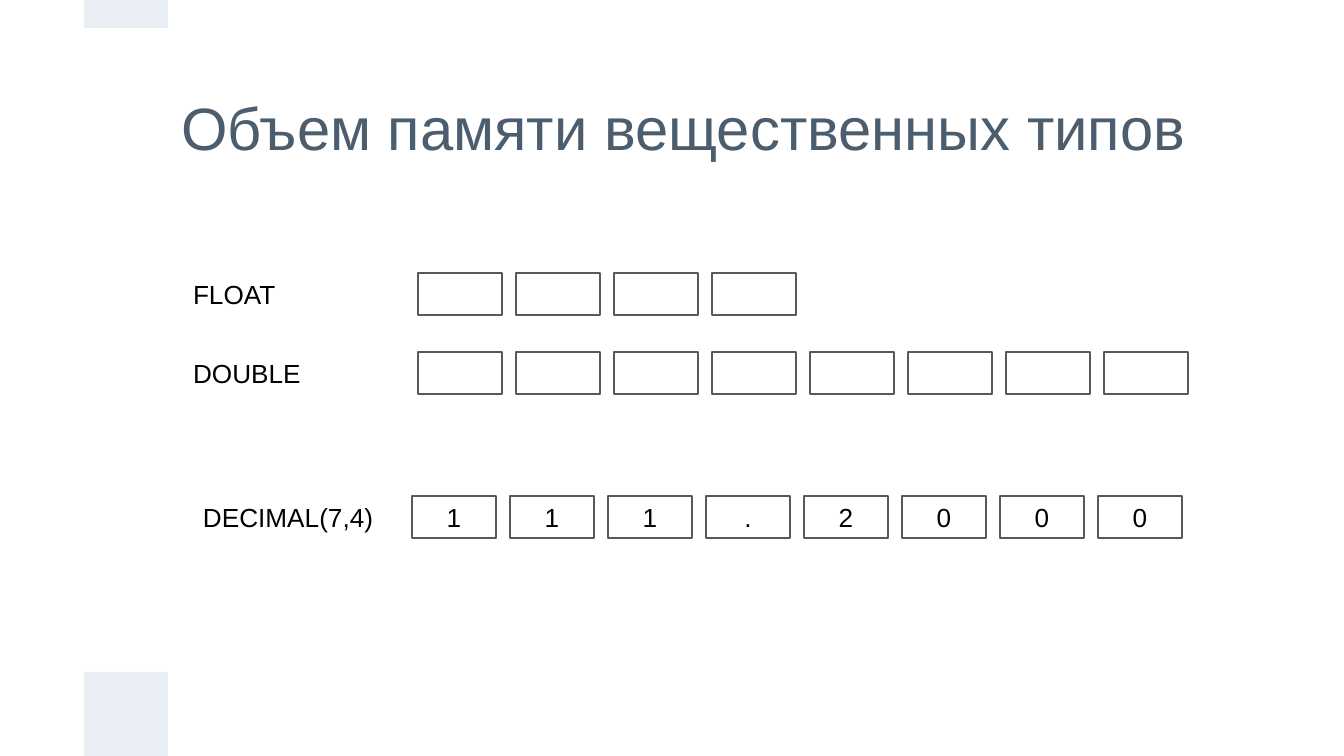
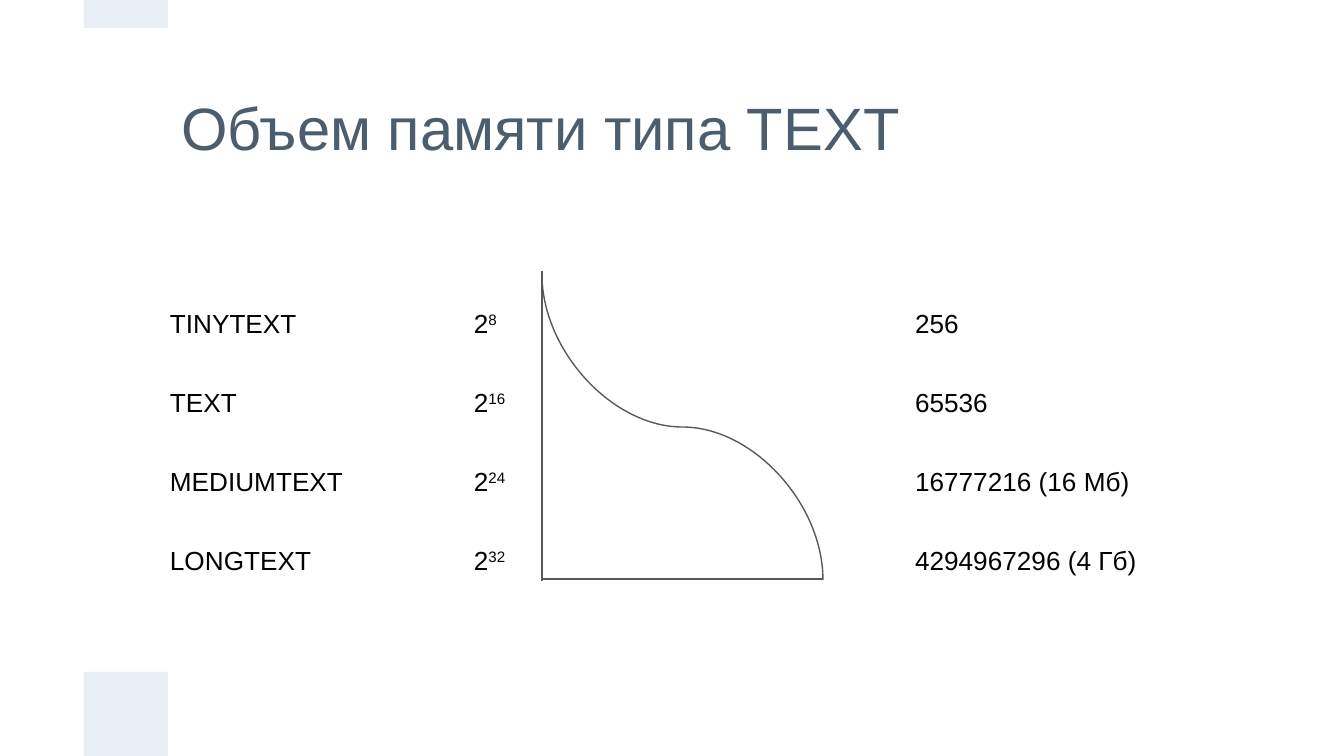
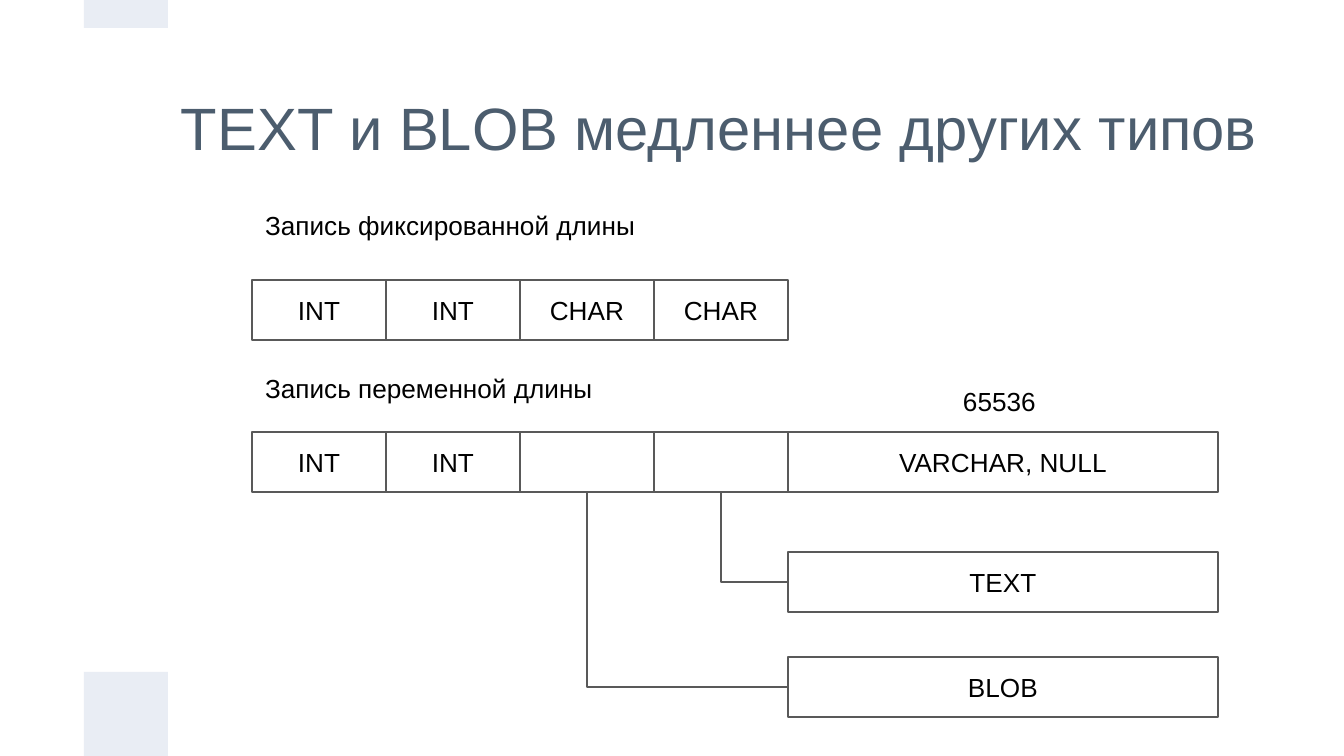
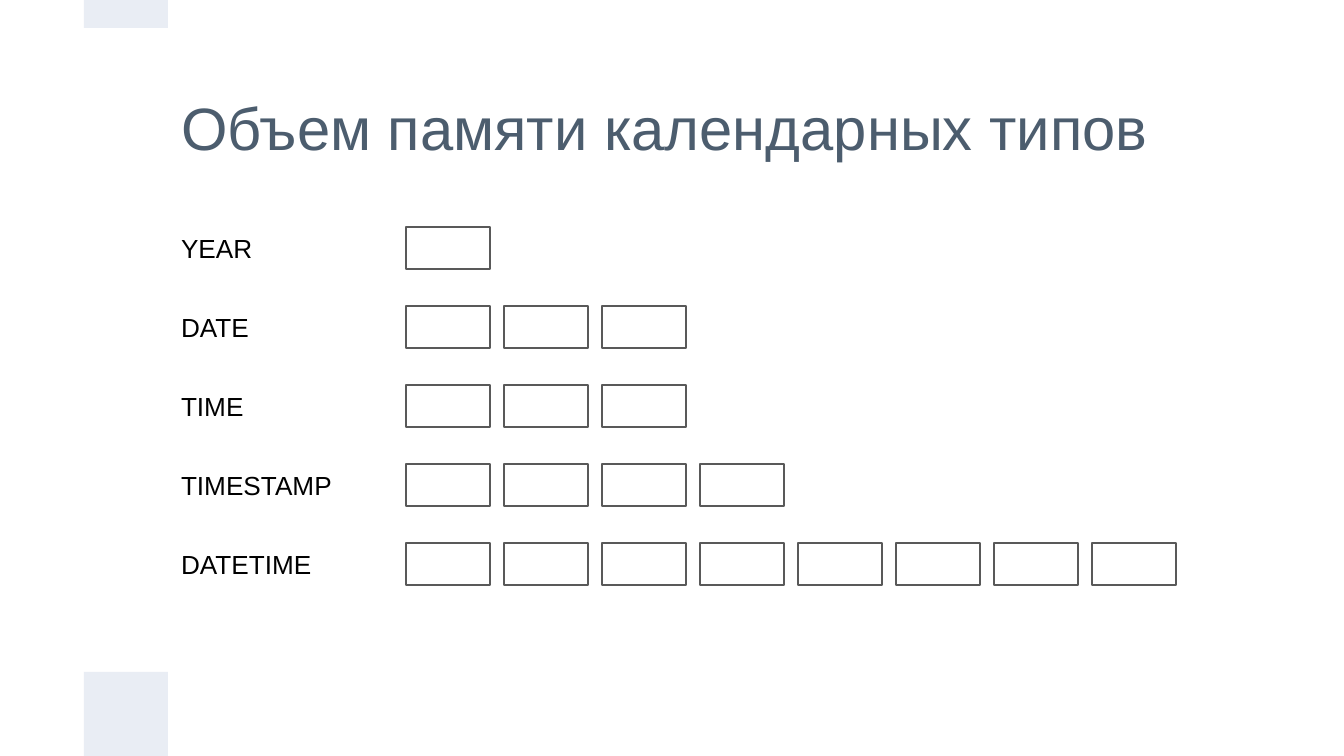
from lxml.etree import SubElement
from pptx import Presentation
from pptx.dml.color import RGBColor
from pptx.enum.shapes import MSO_CONNECTOR, MSO_SHAPE
from pptx.enum.text import MSO_ANCHOR, PP_ALIGN
from pptx.oxml.ns import qn
from pptx.util import Emu, Pt

PX = 914400 / 134.4
SLIDE_WIDTH, SLIDE_HEIGHT = 1344, 756
TITLE_COLOR = RGBColor(0x4C, 0x5D, 0x6E)
TEXT_COLOR = RGBColor(0x00, 0x00, 0x00)
BAND_COLOR = RGBColor(0xE9, 0xED, 0xF4)
LINE_COLOR = RGBColor(0x59, 0x59, 0x59)
FONT = "Arial"
INSET = 13
BAND_LEFT, BAND_SIZE, TOP_BAND_HEIGHT = 84, 84, 28
TITLE_WIDTH, WIDE_TITLE_WIDTH = 1034, 1124
LABEL_WIDTH, WIDE_LABEL_WIDTH, LABEL_HEIGHT = 188, 205, 60
ROW_STEP = 79
BYTE_WIDTH, BYTE_HEIGHT, BYTE_STEP = 84, 42, 98
BYTES_OFFSET_X, BYTES_OFFSET_Y = 238, 9
RECORD_LEFT, FIELD_WIDTH, WIDE_FIELD_WIDTH, FIELD_HEIGHT = 252, 134, 430, 60
BOTTOM_SIDE, LEFT_SIDE = 2, 1
QUARTER_TURN = 5400000


def px(value):
    return Emu(round(value * PX))


def box(*lengths):
    return [px(length) for length in lengths]


def add_run(paragraph, text, size=14, color=TEXT_COLOR):
    run = paragraph.add_run()
    run.text = text
    for name, value in {"name": FONT, "size": Pt(size)}.items():
        setattr(run.font, name, value)
    run.font.color.rgb = color
    return run


def format_frame(frame, anchor):
    settings = {"word_wrap": True, "vertical_anchor": anchor}
    for side in ("left", "top", "right", "bottom"):
        settings[f"margin_{side}"] = px(INSET)
    for name, value in settings.items():
        setattr(frame, name, value)


def add_label(slide, text, left, top, width=LABEL_WIDTH, height=LABEL_HEIGHT,
              anchor=MSO_ANCHOR.MIDDLE, **font):
    frame = slide.shapes.add_textbox(*box(left, top, width, height)).text_frame
    format_frame(frame, anchor)
    paragraph = frame.paragraphs[0]
    add_run(paragraph, text, **font)
    return paragraph


def add_power(slide, exponent, left, top):
    paragraph = add_label(slide, "2", left, top, 82)
    add_run(paragraph, exponent).font._element.set("baseline", "30000")


def add_rectangle(slide, left, top, width, height):
    shape = slide.shapes.add_shape(MSO_SHAPE.RECTANGLE, *box(left, top, width, height))
    shape.shadow.inherit = False
    return shape


def add_band(slide, top, height):
    band = add_rectangle(slide, BAND_LEFT, top, BAND_SIZE, height)
    band.fill.solid()
    band.fill.fore_color.rgb = BAND_COLOR
    band.line.fill.background()


def format_line(line):
    line.color.rgb = LINE_COLOR
    line.width = Pt(0.75)


def add_cell(slide, text, left, top, width, height):
    cell = add_rectangle(slide, left, top, width, height)
    cell.fill.background()
    format_line(cell.line)
    if text:
        format_frame(cell.text_frame, MSO_ANCHOR.MIDDLE)
        paragraph = cell.text_frame.paragraphs[0]
        paragraph.alignment = PP_ALIGN.CENTER
        add_run(paragraph, text)
    return cell


def add_bytes(slide, values, left, top):
    for index, value in enumerate(values):
        add_cell(slide, value, left + index * BYTE_STEP, top, BYTE_WIDTH, BYTE_HEIGHT)


def add_type_sizes(slide, sizes, left, top):
    for row, (name, count) in enumerate(sizes):
        row_top = top + row * ROW_STEP
        add_label(slide, name, left, row_top)
        add_bytes(slide, [""] * count, left + BYTES_OFFSET_X, row_top + BYTES_OFFSET_Y)


def add_record(slide, fields, top):
    return [add_cell(slide, field, RECORD_LEFT + index * FIELD_WIDTH, top,
                     FIELD_WIDTH, FIELD_HEIGHT)
            for index, field in enumerate(fields)]


def add_line(slide, kind, *ends):
    connector = slide.shapes.add_connector(kind, *box(*ends))
    format_line(connector.line)
    SubElement(connector._element.spPr, qn("a:effectLst"))
    return connector


def turn_connector(connector, preset, quarters):
    left, top, width, height = (connector.left, connector.top,
                                connector.width, connector.height)
    turned = {"left": left + (width - height) // 2,
              "top": top + (height - width) // 2,
              "width": height, "height": width}
    for name, value in turned.items():
        setattr(connector, name, Emu(value))
    properties = connector._element.spPr
    transform = properties.find(qn("a:xfrm"))
    transform.set("rot", str(quarters * QUARTER_TURN))
    transform.set("flipH", "1")
    properties.find(qn("a:prstGeom")).set("prst", preset)


def link_field(slide, field, storage):
    connector = add_line(slide, MSO_CONNECTOR.ELBOW, 0, 0, 1, 1)
    connector.begin_connect(field, BOTTOM_SIDE)
    connector.end_connect(storage, LEFT_SIDE)
    turn_connector(connector, "bentConnector2", 3)


def add_titled_slide(presentation, title, width=TITLE_WIDTH):
    slide = presentation.slides.add_slide(presentation.slide_layouts[6])
    add_label(slide, title, 168, 43, width, 168, size=32, color=TITLE_COLOR)
    add_band(slide, SLIDE_HEIGHT - BAND_SIZE, BAND_SIZE)
    add_band(slide, 0, TOP_BAND_HEIGHT)
    return slide


def build_real_types(presentation):
    slide = add_titled_slide(presentation, "Объем памяти вещественных типов")
    add_type_sizes(slide, [("FLOAT", 4), ("DOUBLE", 8)], 180, 264)
    add_label(slide, "DECIMAL(7,4)", 190, 487, WIDE_LABEL_WIDTH)
    add_bytes(slide, "111.2000", 412, 496)


def build_text_types(presentation):
    slide = add_titled_slide(presentation, "Объем памяти типа TEXT")
    add_line(slide, MSO_CONNECTOR.STRAIGHT, 542, 271, 542, 581)
    add_line(slide, MSO_CONNECTOR.STRAIGHT, 542, 579, 823, 579)
    curve = add_line(slide, MSO_CONNECTOR.CURVE, 542, 274, 823, 580)
    turn_connector(curve, "curvedConnector3", 1)
    rows = [("TINYTEXT", "8", "256"),
            ("TEXT", "16", "65536"),
            ("MEDIUMTEXT", "24", "16777216 (16 Мб)"),
            ("LONGTEXT", "32", "4294967296 (4 Гб)")]
    for row, (name, exponent, capacity) in enumerate(rows):
        top = 293 + row * ROW_STEP
        add_label(slide, name, 157, top, WIDE_LABEL_WIDTH)
        add_power(slide, exponent, 461, top)
        add_label(slide, capacity, 902, top, 359)


def build_record_layouts(presentation):
    slide = add_titled_slide(presentation, "TEXT и BLOB медленнее других типов",
                             WIDE_TITLE_WIDTH)
    captions = [("Запись фиксированной длины", RECORD_LEFT, 196, 402),
                ("Запись переменной длины", RECORD_LEFT, 359, 402),
                ("65536", 950, 372, 105)]
    for text, left, top, width in captions:
        add_label(slide, text, left, top, width, anchor=MSO_ANCHOR.TOP)
    add_record(slide, ["INT", "INT", "CHAR", "CHAR"], 280)
    fields = add_record(slide, ["INT", "INT", "", ""], 432)
    wide_left = RECORD_LEFT + len(fields) * FIELD_WIDTH
    wide_fields = [("VARCHAR, NULL", 432), ("TEXT", 552), ("BLOB", 657)]
    _, text_storage, blob_storage = [
        add_cell(slide, text, wide_left, top, WIDE_FIELD_WIDTH, FIELD_HEIGHT)
        for text, top in wide_fields]
    link_field(slide, fields[2], blob_storage)
    link_field(slide, fields[3], text_storage)


def build_calendar_types(presentation):
    slide = add_titled_slide(presentation, "Объем памяти календарных типов")
    sizes = [("YEAR", 1), ("DATE", 3), ("TIME", 3), ("TIMESTAMP", 4), ("DATETIME", 8)]
    add_type_sizes(slide, sizes, 168, 218)


def main():
    presentation = Presentation()
    presentation.slide_width = px(SLIDE_WIDTH)
    presentation.slide_height = px(SLIDE_HEIGHT)
    build_real_types(presentation)
    build_text_types(presentation)
    build_record_layouts(presentation)
    build_calendar_types(presentation)
    presentation.save("out.pptx")


if __name__ == "__main__":
    main()
